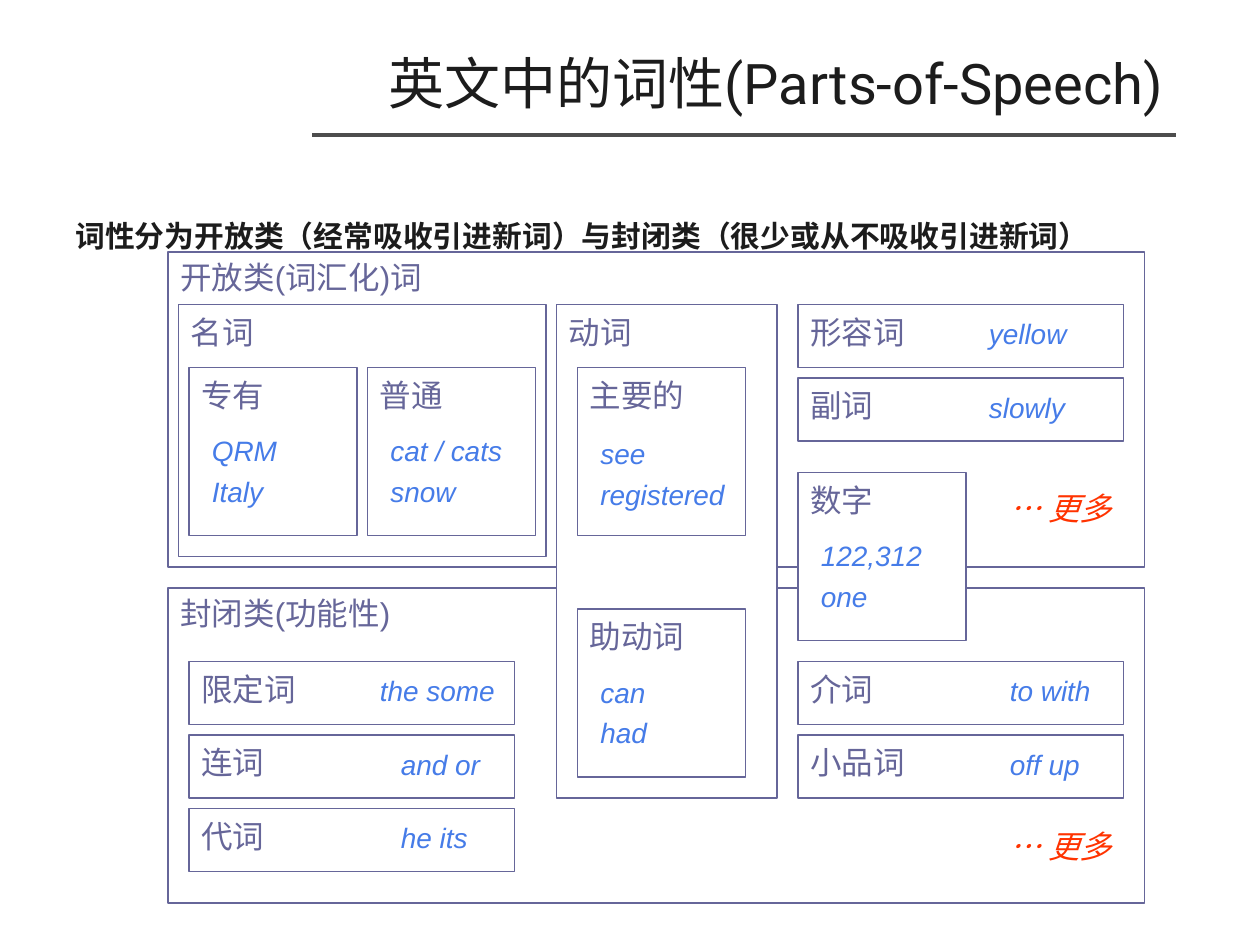
"""Build a slide that sorts English parts of speech into open and closed classes."""
from dataclasses import dataclass

from pptx import Presentation
from pptx.dml.color import RGBColor
from pptx.enum.shapes import MSO_CONNECTOR, MSO_SHAPE
from pptx.enum.text import MSO_ANCHOR, PP_ALIGN
from pptx.oxml.ns import qn
from pptx.util import Inches, Pt


@dataclass(frozen=True)
class Theme:
    ink: str = "1C1C1C"
    rule: str = "4D4D4D"
    frame: str = "666699"
    example: str = "467CE8"
    more: str = "FF3300"
    paper: str = "FFFFFF"
    heading: str = "Roboto"
    body: str = "Arial"
    title_size: int = 32
    lead_size: int = 17
    label_size: int = 18
    example_size: int = 16


theme = Theme()
prs = Presentation()
prs.slide_width, prs.slide_height = Inches(10), Inches(7.5)
s = prs.slides.add_slide(prs.slide_layouts[6])
unit = prs.slide_width / 120


def add_text(x, y, w, h, text, size, color, font=theme.body, bold=False, italic=False):
    sp = s.shapes.add_textbox(*(round(v * unit) for v in (x, y, w, h)))
    tf = sp.text_frame
    tf.word_wrap = True
    tf.text = text
    for i, p in enumerate(tf.paragraphs):
        if i:
            p.space_before = Pt(4)
        for r in p.runs:
            r.font.name, r.font.size = font, Pt(size)
            r.font.bold, r.font.italic = bold, italic
            r.font.color.rgb = RGBColor.from_string(color)
    return tf


def add_class(x, y, w, h, label, filled=False, drop=0.2):
    sp = s.shapes.add_shape(MSO_SHAPE.RECTANGLE, *(round(v * unit) for v in (x, y, w, h)))
    sp.shadow.inherit = False
    if filled:
        sp.fill.solid()
        sp.fill.fore_color.rgb = RGBColor.from_string(theme.paper)
    else:
        sp.fill.background()
    sp.line.color.rgb = RGBColor.from_string(theme.frame)
    sp.line.width = Pt(0.75)
    add_text(x, y + drop, min(w, 43), 4.8, label, theme.label_size, theme.frame)


rule = s.shapes.add_connector(
    MSO_CONNECTOR.STRAIGHT, *(round(v * unit) for v in (29.76, 12.84, 112, 12.84)))
rule.line.color.rgb = RGBColor.from_string(theme.rule)
rule.line.width = Pt(0)
sp_pr = rule._element.spPr
sp_pr.append(sp_pr.makeelement(qn("a:effectLst"), {}))

tf = add_text(8.28, 4.2, 103.72, 7.44, "英文中的词性(Parts-of-Speech)",
              theme.title_size, theme.ink, theme.heading)
tf.vertical_anchor = MSO_ANCHOR.BOTTOM
tf.paragraphs[0].alignment = PP_ALIGN.RIGHT

tf = add_text(6, 18.48, 108, 66.84, "词性分为开放类（经常吸收引进新词）与封闭类（很少或从不吸收引进新词）",
              theme.lead_size, theme.ink, theme.heading, bold=True)
tf.paragraphs[0].line_spacing = 1.5

add_class(16, 24, 93, 30, "开放类(词汇化)词", drop=0)
add_class(16, 56, 93, 30, "封闭类(功能性)", drop=0)
add_class(17, 29, 35, 24, "名词")
add_class(53, 29, 21, 47, "动词", filled=True)

rows = [
    (76, 29, "形容词", "yellow", 93),
    (76, 36, "副词", "slowly", 93),
    (76, 63, "介词", "to with", 95),
    (76, 70, "小品词", "off up", 95),
    (18, 63, "限定词", "the some", 35),
    (18, 70, "连词", "and or", 37),
    (18, 77, "代词", "he its", 37),
]
for x, y, label, example, example_x in rows:
    add_class(x, y, 31, 6, label, filled=True)
    add_text(example_x, y + 0.6, 15, 4.4, example, theme.example_size, theme.example, italic=True)

squares = [
    (18, 35, "专有", "QRM\nItaly", 5.7, False),
    (35, 35, "普通", "cat / cats\nsnow", 5.7, False),
    (55, 58, "助动词", "can\nhad", 5.7, False),
    (55, 35, "主要的", "see\nregistered", 6, False),
    (76, 45, "数字", "122,312\none", 5.7, True),
]
for x, y, label, examples, drop, filled in squares:
    add_class(x, y, 16, 16, label, filled)
    add_text(x + 1, y + drop, 15, 8.3, examples, theme.example_size, theme.example, italic=True)

for y in (46, 78.2):
    add_text(95, y, 15, 4.8, "… 更多", theme.label_size, theme.more, italic=True)

prs.save("out.pptx")
